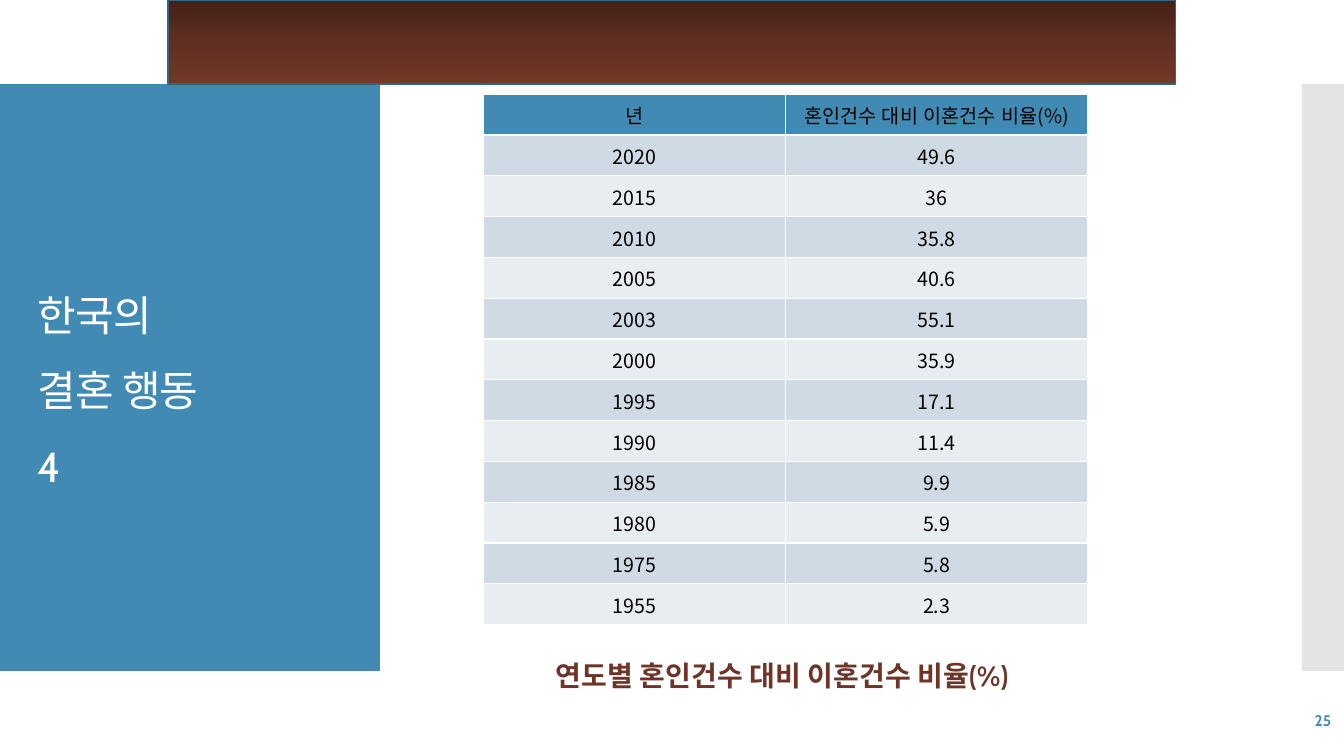
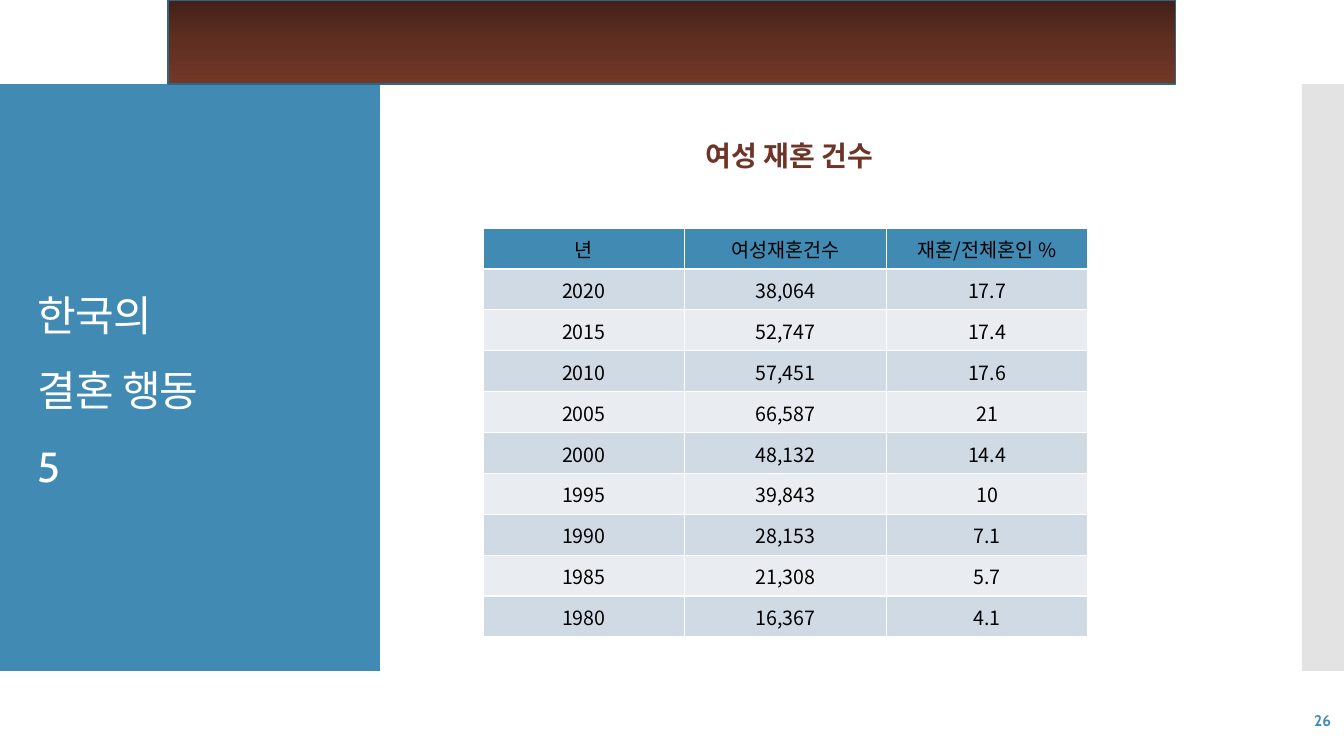
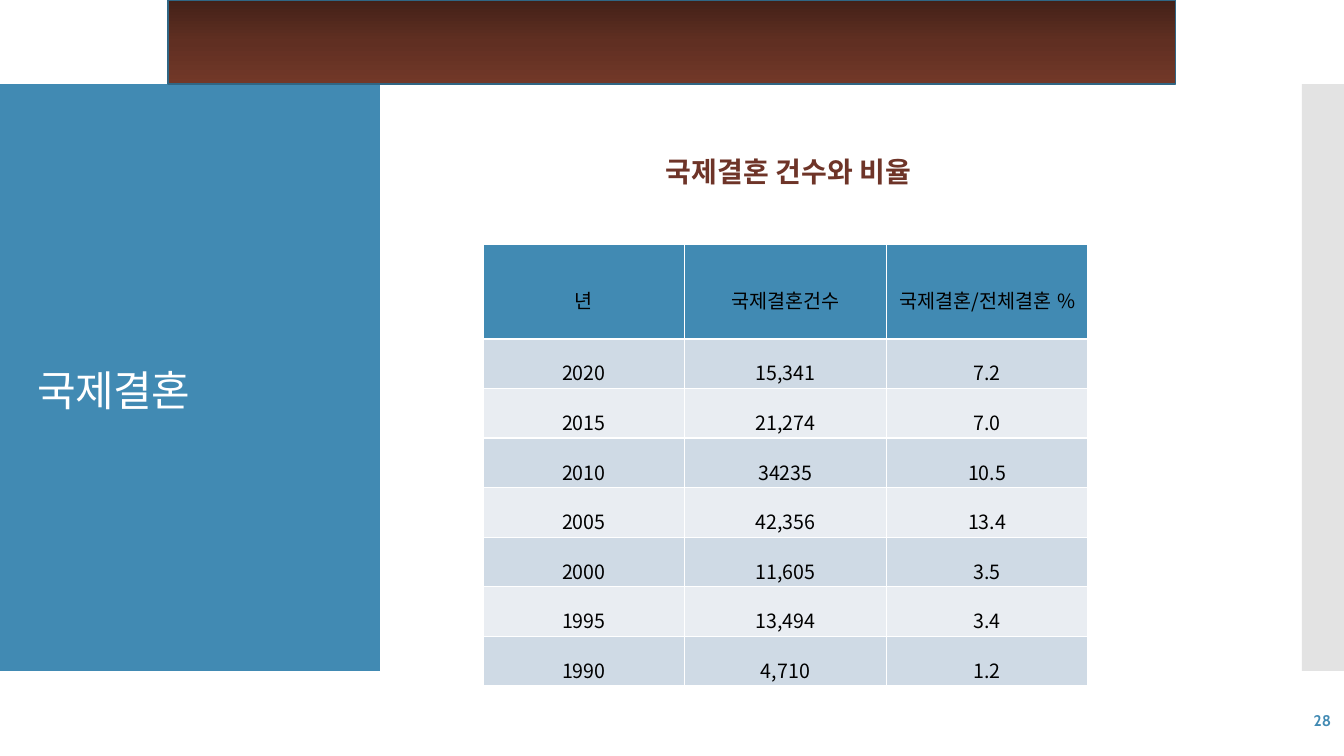
from copy import deepcopy
from lxml.etree import SubElement
from pptx import Presentation
from pptx.dml.color import RGBColor
from pptx.enum.lang import MSO_LANGUAGE_ID as Language
from pptx.enum.shapes import MSO_SHAPE as Shape
from pptx.enum.text import MSO_ANCHOR as Anchor, PP_ALIGN as Align
from pptx.oxml.ns import qn
from pptx.util import Pt

PX = 914400 / 100.8
BLUE, BROWN, WHITE, BLACK = "418AB3", "6E3428", "FFFFFF", "000000"
BAND_FILLS = ["E9EDF2", "CFDAE5"]
BAR_STOPS = [(0, "432118"), (0.5, "602F22"), (1, "723828")]
TITLE_FONT, TABLE_FONT = "Cabin", "Noto Sans CJK KR"


def px(*lengths):
    return [round(length * PX) for length in lengths]


def write(text_frame, text, size, color, font=TITLE_FONT, bold=False,
          align=Align.LEFT, anchor=Anchor.TOP, line_spacing=None, tracking=0):
    text_frame.text = text
    text_frame.vertical_anchor = anchor
    paragraph = text_frame.paragraphs[0]
    paragraph.alignment = align
    paragraph.line_spacing = line_spacing
    for run in paragraph.runs:
        run.font.size = Pt(size)
        run.font.bold = bold
        run.font.name = font
        run.font.language_id = Language.KOREAN
        run.font.color.rgb = RGBColor.from_string(color)
        properties = run.font._element
        properties.set("spc", str(tracking))
        east_asian = SubElement(properties, qn("a:ea"))
        east_asian.set("typeface", font)


pages = [
    {
        "number": "25",
        "title": "한국의\v결혼 행동\v4",
        "caption": ("연도별 혼인건수 대비 이혼건수 비율(%)", 546, 654, 591, True),
        "table": (94, 41, 490),
        "margins": (1, 1, 1, 0),
        "line_spacing": None,
        "rows": [
            ("년", "혼인건수 대비 이혼건수 비율(%)"),
            ("2020", "49.6"), ("2015", "36"), ("2010", "35.8"),
            ("2005", "40.6"), ("2003", "55.1"), ("2000", "35.9"),
            ("1995", "17.1"), ("1990", "11.4"), ("1985", "9.9"),
            ("1980", "5.9"), ("1975", "5.8"), ("1955", "2.3"),
        ],
    },
    {
        "number": "26",
        "title": "한국의\v결혼 행동\v5",
        "caption": ("여성 재혼 건수", 696, 134, 202, False),
        "table": (228, 41, 368),
        "margins": (1, 1, 1, 0),
        "line_spacing": None,
        "rows": [
            ("년", "여성재혼건수", "재혼/전체혼인 %"),
            ("2020", "38,064", "17.7"), ("2015", "52,747", "17.4"),
            ("2010", "57,451", "17.6"), ("2005", "66,587", "21"),
            ("2000", "48,132", "14.4"), ("1995", "39,843", "10"),
            ("1990", "28,153", "7.1"), ("1985", "21,308", "5.7"),
            ("1980", "16,367", "4.1"),
        ],
    },
    {
        "number": "28",
        "title": "국제결혼",
        "caption": ("국제결혼 건수와 비율", 656, 150, 286, False),
        "table": (244, 95, 347),
        "margins": (7, 2, 7, 2),
        "line_spacing": 1.6,
        "rows": [
            ("년", "국제결혼건수", "국제결혼/전체결혼 %"),
            ("2020", "15,341", "7.2"), ("2015", "21,274", "7.0"),
            ("2010", "34235", "10.5"), ("2005", "42,356", "13.4"),
            ("2000", "11,605", "3.5"), ("1995", "13,494", "3.4"),
            ("1990", "4,710", "1.2"),
        ],
    },
]

presentation = Presentation()
presentation.slide_width, presentation.slide_height = px(1344, 756)

for page in pages:
    slide = presentation.slides.add_slide(presentation.slide_layouts[6])
    shapes = slide.shapes

    for left, width, color, alpha in [(0, 380, BLUE, 100), (1302, 42, "C8C8C8", 50)]:
        panel = shapes.add_shape(Shape.RECTANGLE, *px(left, 84, width, 587))
        panel.shadow.inherit = False
        panel.line.fill.background()
        panel.fill.solid()
        panel.fill.fore_color.rgb = RGBColor.from_string(color)
        if alpha < 100:
            fill_color = panel._element.spPr.find(".//" + qn("a:srgbClr"))
            SubElement(fill_color, qn("a:alpha")).set("val", str(alpha * 1000))

    title = shapes.add_textbox(*px(28, 124, 325, 507))
    title.text_frame.word_wrap = True
    write(title.text_frame, page["title"], 30, WHITE,
          anchor=Anchor.MIDDLE, line_spacing=1.5, tracking=-60)

    rows = page["rows"]
    top, header_height, body_height = page["table"]
    frame = shapes.add_table(len(rows), len(rows[0]),
                             *px(483, top, 605, header_height + body_height))
    table = frame.table
    table.first_row = False
    table.horz_banding = False
    for row_index, row in enumerate(rows):
        row_height = body_height / (len(rows) - 1) if row_index else header_height
        table.rows[row_index].height = px(row_height)[0]
        for column_index, text in enumerate(row):
            cell = table.cell(row_index, column_index)
            (cell.margin_left, cell.margin_top,
             cell.margin_right, cell.margin_bottom) = px(*page["margins"])
            write(cell.text_frame, text, 14, BLACK, font=TABLE_FONT,
                  align=Align.CENTER, line_spacing=page["line_spacing"])
            cell.vertical_anchor = Anchor.MIDDLE
            cell_properties = cell._tc.get_or_add_tcPr()
            for side in ("a:lnL", "a:lnR", "a:lnT", "a:lnB"):
                border = SubElement(cell_properties, qn(side), w=str(Pt(1)))
                border_fill = SubElement(border, qn("a:solidFill"))
                SubElement(border_fill, qn("a:srgbClr"), val=WHITE)
            cell.fill.solid()
            fill = BAND_FILLS[row_index % 2] if row_index else BLUE
            cell.fill.fore_color.rgb = RGBColor.from_string(fill)

    bar = shapes.add_shape(Shape.RECTANGLE, *px(168, 0, 1008, 84))
    bar.shadow.inherit = False
    bar.line.color.rgb = RGBColor.from_string("306684")
    bar.line.width = Pt(0.85)
    bar.fill.gradient()
    bar.fill.gradient_angle = 270
    stop_list = bar._element.spPr.find(".//" + qn("a:gsLst"))
    stop_list.append(deepcopy(stop_list[-1]))
    for stop, (position, color) in zip(bar.fill.gradient_stops, BAR_STOPS):
        stop.position = position
        stop.color.rgb = RGBColor.from_string(color)

    text, left, top, width, wraps = page["caption"]
    caption = shapes.add_textbox(*px(left, top, width, 44))
    caption.text_frame.word_wrap = wraps
    write(caption.text_frame, text, 20, BROWN, bold=True)

    number = shapes.add_textbox(*px(1173, 700, 168, 40))
    number.text_frame.word_wrap = True
    write(number.text_frame, page["number"], 11, BLUE, bold=True,
          align=Align.RIGHT, anchor=Anchor.MIDDLE)

presentation.save("out.pptx")
